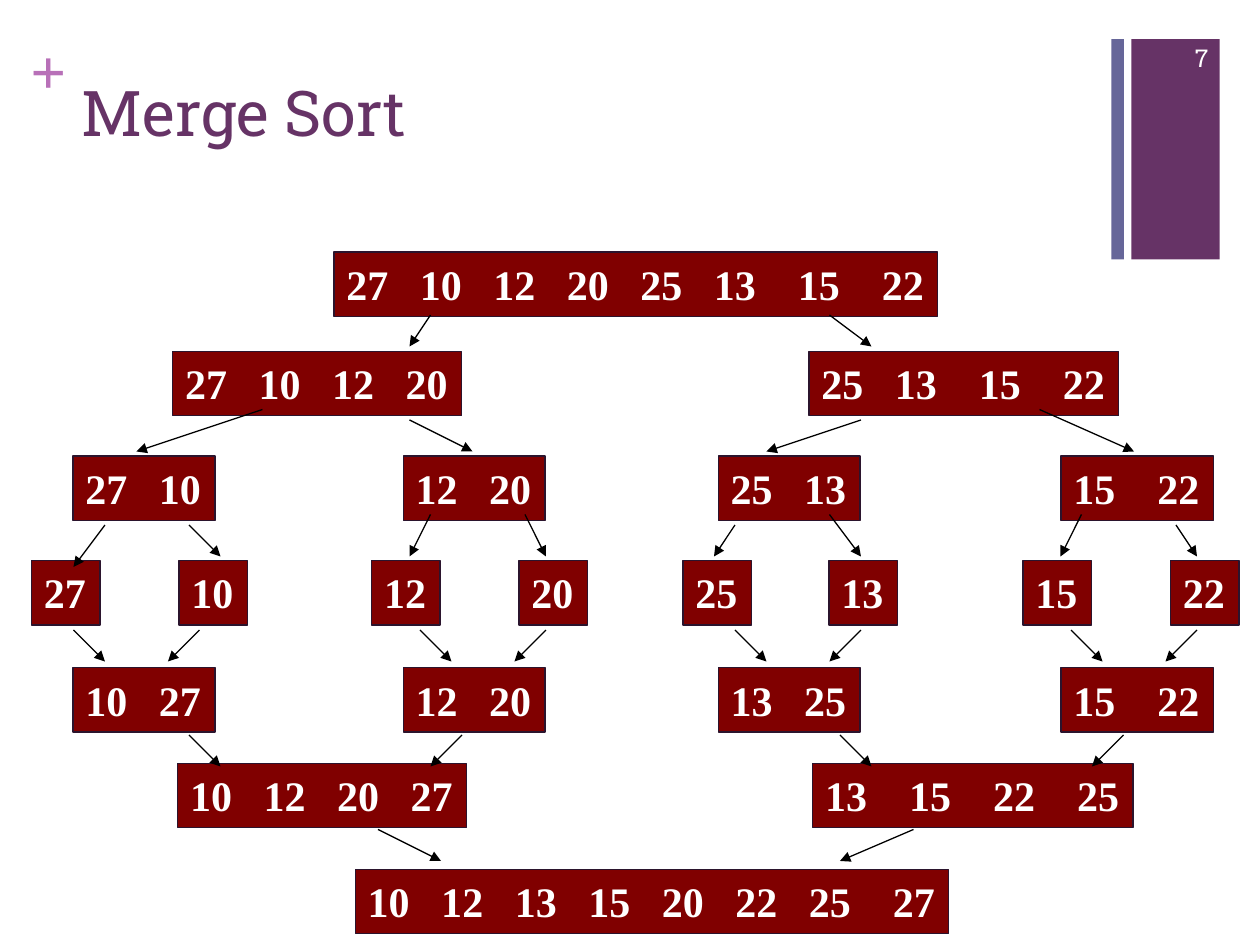
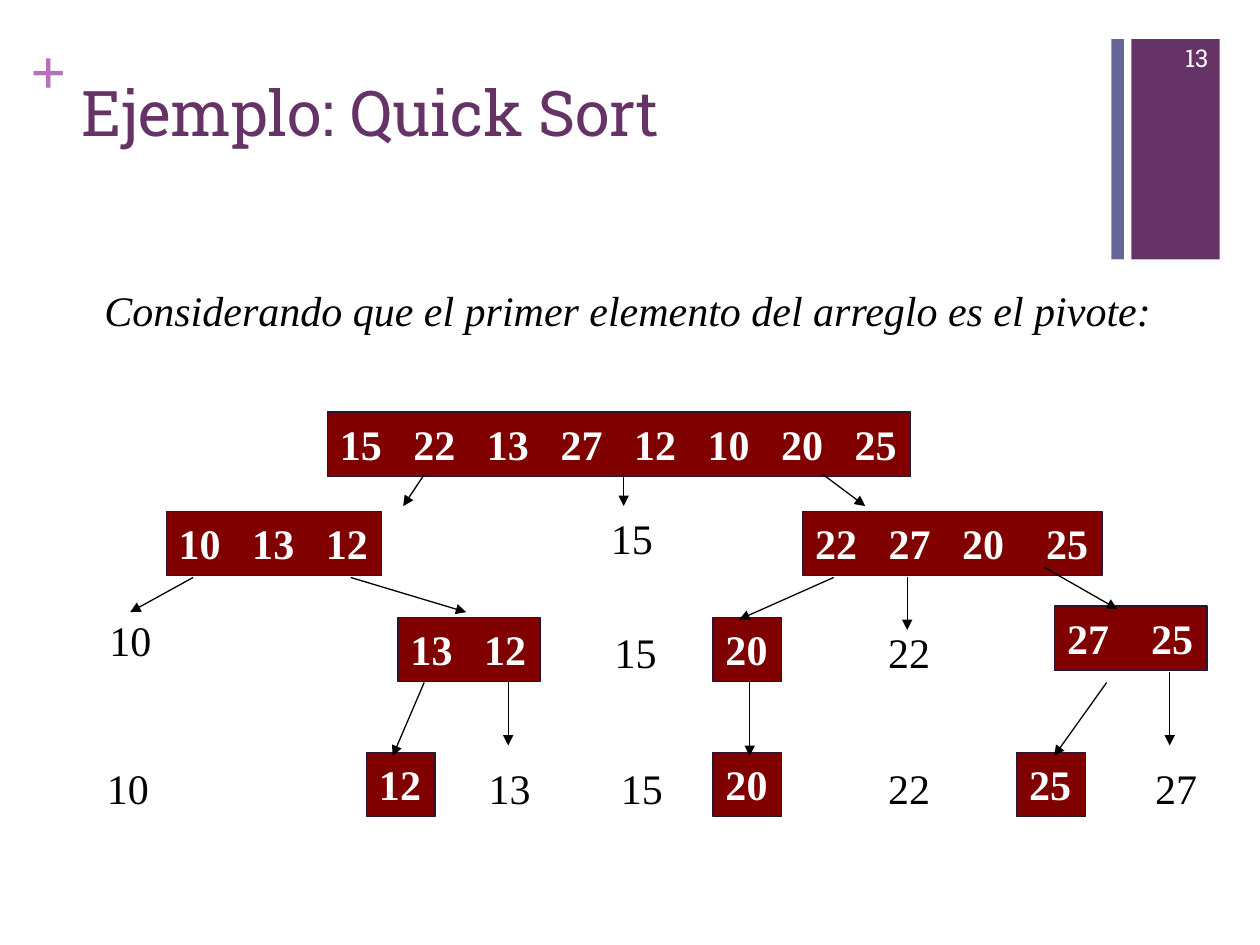
"""Build two slides that trace merge sort and quick sort."""
import pptx
import pptx.dml.color
import pptx.enum.shapes
import pptx.enum.text
import pptx.oxml
import pptx.oxml.ns
import pptx.util

PLUM = pptx.dml.color.RGBColor(0x66, 0x33, 0x66)
SLATE = pptx.dml.color.RGBColor(0x66, 0x66, 0x99)
ORCHID = pptx.dml.color.RGBColor(0xB8, 0x70, 0xB8)
MAROON = pptx.dml.color.RGBColor(0x80, 0x00, 0x00)
EDGE = pptx.dml.color.RGBColor(0x2B, 0x14, 0x2D)
WHITE = pptx.dml.color.RGBColor(0xFF, 0xFF, 0xFF)
BLACK = pptx.dml.color.RGBColor(0x00, 0x00, 0x00)
SERIF = "Times New Roman"
SLAB = "Roboto Slab"
ANCHOR = pptx.enum.text.MSO_ANCHOR
ALIGN = pptx.enum.text.PP_ALIGN
FIT = pptx.enum.text.MSO_AUTO_SIZE.SHAPE_TO_FIT_TEXT
GRID = 1 / 12
BOX_HEIGHT = 0.51

MERGE_BOXES = [
    (2.00, [(2.65, "27 10 12 20 25 13 15 22", 2)]),
    (2.79, [(1.37, "27 10 12 20", 0), (6.42, "25 13 15 22", 2)]),
    (3.62, [(0.58, "27 10", 0), (3.20, "12 20", 0), (5.70, "25 13", 0), (8.42, "15 22", 1)]),
    (4.45, [(0.25, "27", 0), (1.42, "10", 0), (2.95, "12", 0), (4.12, "20", 0),
            (5.42, "25", 0), (6.58, "13", 0), (8.12, "15", 0), (9.29, "22", 0)]),
    (5.30, [(0.58, "10 27", 0), (3.20, "12 20", 0), (5.70, "13 25", 0), (8.42, "15 22", 1)]),
    (6.06, [(1.41, "10 12 20 27", 0), (6.45, "13 15 22 25", 3)]),
    (6.90, [(2.82, "10 12 13 15 20 22 25 27", 1)]),
]
MERGE_ARROWS = [
    (41, 30, 39, 33), (79, 30, 83, 33),
    (25, 39, 13, 43), (39, 40, 45, 43), (82, 40, 73, 43), (99, 39, 108, 43),
    (10, 50, 7, 54), (18, 50, 21, 53), (41, 49, 39, 53), (50, 49, 52, 53),
    (70, 50, 68, 53), (79, 49, 82, 53), (103, 49, 101, 53), (112, 50, 114, 53),
    (36, 79, 42, 82), (87, 79, 80, 82),
]
MERGE_PAIRS = [(60, 7, 19), (60, 40, 52), (60, 70, 82), (60, 102, 114),
               (70, 18, 44), (70, 80, 107)]
QUICK_BOXES = [
    (3.27, [(2.60, "15 22 13 27 12 10 20 25", 0)]),
    (4.06, [(1.32, "10 13 12", 0), (6.37, "22 27 20 25", 1)]),
    (4.81, [(8.37, "27 25", 1)]),
    (4.90, [(3.16, "13 12", 0), (5.66, "20", 0)]),
    (5.97, [(2.91, "12", 0), (5.66, "20", 0), (8.07, "25", 0)]),
]
QUICK_PIVOTS = [
    (4.02, [(4.75, "15")]),
    (4.83, [(0.77, "10")]),
    (4.92, [(4.78, "15"), (6.95, "22")]),
    (6.00, [(0.75, "10"), (3.78, "13"), (4.83, "15"), (6.95, "22"), (9.07, "27")]),
]
QUICK_ARROWS = [
    (41, 45.2, 39, 48.2), (60, 45.2, 60, 48.2), (79, 45.2, 83, 48.2),
    (19, 55, 13, 58.3), (34, 55, 45, 58.3), (80, 55, 71, 59), (87, 55, 87, 60),
    (100, 54, 107, 58), (41, 65, 38, 72), (49, 65, 49, 71), (72, 65, 72, 72),
    (106, 65, 101, 72), (112, 64, 112, 71),
]


def inches(*lengths):
    """Turn lengths in inches into slide units."""
    return [pptx.util.Inches(length) for length in lengths]


def style(span, size, color, name=SERIF, bold=False, italic=False):
    """Format one run."""
    font = span.font
    font.size, font.name = pptx.util.Pt(size), name
    font.bold, font.italic = bold, italic
    font.color.rgb = color


def add_band(page, left, width, color):
    """Draw one vertical band at the top right."""
    band = page.shapes.add_shape(pptx.enum.shapes.MSO_SHAPE.RECTANGLE,
                                 *inches(left, 0.31, width, 1.75))
    band.shadow.inherit = False
    band.fill.solid()
    band.fill.fore_color.rgb = color
    band.line.fill.background()
    return band


def add_text(page, text, place, size, color, **looks):
    """Place one unwrapped line of text."""
    box = page.shapes.add_textbox(*inches(*place))
    frame = box.text_frame
    frame.text = text
    frame.word_wrap = False
    frame.auto_size = FIT
    style(frame.paragraphs[0].runs[0], size, color, **looks)
    return box


def decorate_layout(layout, page):
    """Move the bands and the plus sign from a page to its layout."""
    for holder in list(layout.placeholders)[1:]:
        holder.element.getparent().remove(holder.element)
    plus = add_text(page, "+", (0.24, 0.25, 0.29, 0.61), 36, ORCHID, bold=True)
    frame = plus.text_frame
    frame.margin_left = frame.margin_right = frame.margin_top = frame.margin_bottom = 0
    for shape in (add_band(page, 8.98, 0.7, PLUM), plus, add_band(page, 8.82, 0.1, SLATE)):
        layout.shapes.element.append(shape.element)


def add_heading(page, text, number):
    """Fill the title and write the page number on the band."""
    title = page.shapes.title
    title.left, title.top, title.width, title.height = inches(0.55, 0.53, 8.26, 1.22)
    title.text_frame.text = text
    title.text_frame.vertical_anchor = ANCHOR.TOP
    para = title.text_frame.paragraphs[0]
    para.alignment = ALIGN.LEFT
    style(para.runs[0], 36, PLUM, SLAB)
    box = add_text(page, number, (9.08, 0.26, 0.61, 0.4), 14, WHITE, name=SLAB)
    box.text_frame.auto_size = pptx.enum.text.MSO_AUTO_SIZE.NONE
    box.text_frame.word_wrap = True
    box.text_frame.vertical_anchor = ANCHOR.MIDDLE
    box.text_frame.paragraphs[0].alignment = ALIGN.RIGHT


def add_array(page, left, top, text, wide_gaps):
    """Draw an array box as wide as its numbers; its last gaps may be wide."""
    numbers = text.split()
    gaps = [18] * (len(numbers) - 1 - wide_gaps) + [24] * wide_gaps
    width = 0.21 + (24 * len(numbers) + sum(gaps)) / 72
    box = page.shapes.add_shape(pptx.enum.shapes.MSO_SHAPE.RECTANGLE,
                                *inches(left, top, width, BOX_HEIGHT))
    box.shadow.inherit = False
    box.fill.solid()
    box.fill.fore_color.rgb = MAROON
    box.line.color.rgb = EDGE
    box.line.width = pptx.util.Pt(0.75)
    frame = box.text_frame
    frame.word_wrap = False
    frame.auto_size = FIT
    frame.vertical_anchor = ANCHOR.TOP
    para = frame.paragraphs[0]
    para.alignment = ALIGN.LEFT
    for index, number in enumerate(numbers):
        if index:
            space = para.add_run()
            space.text = " "
            style(space, 24, WHITE, bold=True)
            space.font._element.set("spc", str((gaps[index - 1] - 6) * 100))
        span = para.add_run()
        span.text = number
        style(span, 24, WHITE, bold=True)


def add_arrays(page, rows):
    """Draw rows of array boxes."""
    for top, arrays in rows:
        for left, text, wide_gaps in arrays:
            add_array(page, left, top, text, wide_gaps)


def add_arrows(page, arrows, shift=0):
    """Draw arrows given in grid steps, shifted sideways in inches."""
    for x1, y1, x2, y2 in arrows:
        arrow = page.shapes.add_connector(
            pptx.enum.shapes.MSO_CONNECTOR.STRAIGHT,
            *inches(x1 * GRID + shift, y1 * GRID, x2 * GRID + shift, y2 * GRID))
        arrow.line.color.rgb = BLACK
        arrow.line.width = pptx.util.Pt(0.75)
        head = pptx.oxml.parse_xml(
            '<a:tailEnd %s type="triangle"/>' % pptx.oxml.ns.nsdecls("a"))
        arrow.line._get_or_add_ln().append(head)
        arrow.element.spPr.append(pptx.oxml.parse_xml(
            "<a:effectLst %s/>" % pptx.oxml.ns.nsdecls("a")))


def fill_merge_sort(page):
    """Show the arrays being split and merged."""
    add_heading(page, "Merge Sort", "7")
    add_arrays(page, MERGE_BOXES)
    add_arrows(page, MERGE_ARROWS)
    for top, left, right in MERGE_PAIRS:
        add_arrows(page, [(left, top, left + 3, top + 3), (right, top, right - 3, top + 3)])


def fill_quick_sort(page):
    """Show the arrays being parted around their pivots."""
    add_heading(page, "Ejemplo: Quick Sort", "13")
    add_text(page, "Considerando que el primer elemento del arreglo es el pivote:",
             (0.73, 2.21, 8.52, 0.5), 24, BLACK, italic=True)
    add_arrays(page, QUICK_BOXES)
    for top, pivots in QUICK_PIVOTS:
        for left, text in pivots:
            add_text(page, text, (left, top, 0.53, 0.5), 24, BLACK)
    add_arrows(page, QUICK_ARROWS, shift=-0.05)


def main():
    """Build and save the deck."""
    deck = pptx.Presentation()
    deck.slide_width, deck.slide_height = inches(10, 7.5)
    layout = deck.slide_layouts[5]
    merge_page = deck.slides.add_slide(layout)
    decorate_layout(layout, merge_page)
    fill_merge_sort(merge_page)
    fill_quick_sort(deck.slides.add_slide(layout))
    deck.save("out.pptx")


main()
